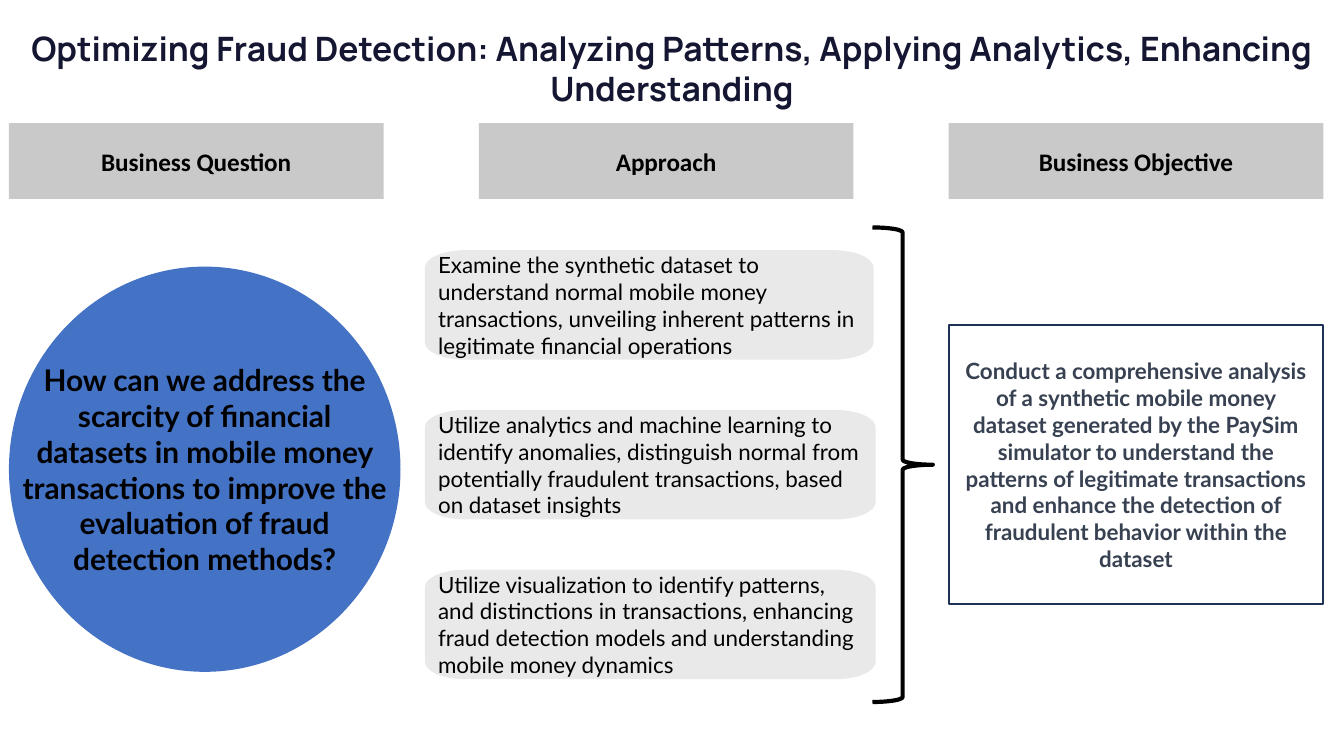
from typing import NamedTuple, Optional

from lxml.etree import SubElement
from pptx import Presentation
from pptx.dml.color import RGBColor
from pptx.enum.shapes import MSO_SHAPE as Preset
from pptx.enum.text import MSO_ANCHOR as Anchor, PP_ALIGN as Align
from pptx.oxml.ns import qn
from pptx.shapes.autoshape import Shape
from pptx.slide import Slide
from pptx.util import Cm, Pt

BLACK = RGBColor(0x00, 0x00, 0x00)
BLUE = RGBColor(0x44, 0x72, 0xC4)
HEADER_GREY = RGBColor(0xC9, 0xC9, 0xC9)
CARD_GREY = RGBColor(0xE9, 0xE9, 0xE9)
NAVY = RGBColor(0x1E, 0x32, 0x56)
SLATE = RGBColor(0x37, 0x41, 0x51)
TITLE_INK = RGBColor(0x15, 0x16, 0x31)

ARC_PULL = 0.55  # how far Bezier handles reach towards the corner


class Area(NamedTuple):
    """Position and size in centimetres."""
    left: float
    top: float
    width: float
    height: float


class Style(NamedTuple):
    font: str
    size: float
    color: RGBColor = BLACK
    bold: bool = True
    align: Align = Align.CENTER


class Point(NamedTuple):
    x: float
    y: float

    def toward(self, other: "Point") -> "Point":
        return Point(self.x + ARC_PULL * (other.x - self.x),
                     self.y + ARC_PULL * (other.y - self.y))


TITLE = Style("Manrope", 18, TITLE_INK)
HEADER = Style("Calibri", 13.5)
QUESTION = Style("Lato", 16)
OBJECTIVE = Style("Lato", 12, SLATE)
CARD = Style("Lato", 12, bold=False, align=Align.LEFT)

COLUMN_LEFT, COLUMN_STEP, COLUMN_WIDTH = 0.17, 8.88, 7.08
CARD_TOP, CARD_STEP = 4.73, 3.02

HEADERS = ["Business Question", "Approach", "Business Objective"]
CARDS = [
    (8.48, "Examine the synthetic dataset to understand normal mobile money transactions, "
           "unveiling inherent patterns in legitimate financial operations"),
    (8.52, "Utilize analytics and machine learning to identify anomalies, distinguish normal "
           "from potentially fraudulent transactions, based on dataset insights"),
    (8.52, "Utilize visualization to identify patterns, and distinctions in transactions, "
           "enhancing fraud detection models and understanding mobile money dynamics"),
]


def write(shape: Shape, text: str, style: Style, anchor: Anchor = Anchor.MIDDLE,
          inset: float = 0.25) -> None:
    frame = shape.text_frame
    frame.word_wrap = True
    frame.vertical_anchor = anchor
    frame.margin_left = frame.margin_right = Cm(0.25)
    frame.margin_top = frame.margin_bottom = Cm(inset)
    para = frame.paragraphs[0]
    para.alignment = style.align
    span = para.add_run()
    span.text = text
    span.font.name = style.font
    span.font.size = Pt(style.size)
    span.font.bold = style.bold
    span.font.color.rgb = style.color


def paint(shape: Shape, fill: Optional[RGBColor] = None,
          line: Optional[RGBColor] = None, weight: float = 1) -> None:
    shape.shadow.inherit = False
    if fill is None:
        shape.fill.background()
    else:
        shape.fill.solid()
        shape.fill.fore_color.rgb = fill
    if line is None:
        shape.line.fill.background()
    else:
        shape.line.color.rgb = line
        shape.line.width = Pt(weight)


def add_preset(page: Slide, preset: Preset, area: Area) -> Shape:
    return page.shapes.add_shape(preset, *(Cm(length) for length in area))


def add_rounded(page: Slide, area: Area, radius_x: float, radius_y: float,
                fill: RGBColor) -> Shape:
    """Outline with elliptical corners; half-size radii give an ellipse."""
    left, top, width, height = area
    inner_x, inner_y = width - radius_x, height - radius_y
    arcs = [  # start, corner, end, relative to the area
        (Point(radius_x, 0), Point(0, 0), Point(0, radius_y)),
        (Point(0, inner_y), Point(0, height), Point(radius_x, height)),
        (Point(inner_x, height), Point(width, height), Point(width, inner_y)),
        (Point(width, radius_y), Point(width, 0), Point(inner_x, 0)),
    ]
    ends = [(Cm(left + point.x), Cm(top + point.y))
            for start, _, end in arcs for point in (start, end)]
    builder = page.shapes.build_freeform(*ends[0])
    builder.add_line_segments(ends[1:], close=True)
    shape = builder.convert_to_shape()

    # Redraw the straight outline with one curve per corner.
    outline = next(shape.element.iter(qn("a:path")))
    for command in list(outline):
        outline.remove(command)

    def draw(command: str, *points: Point) -> None:
        node = SubElement(outline, qn(command))
        for point in points:
            SubElement(node, qn("a:pt"), x=str(Cm(point.x)), y=str(Cm(point.y)))

    here = arcs[0][0]
    draw("a:moveTo", here)
    for start, corner, end in arcs:
        if Cm(start.x) != Cm(here.x) or Cm(start.y) != Cm(here.y):
            draw("a:lnTo", start)
        draw("a:cubicBezTo", start.toward(corner), end.toward(corner), end)
        here = end
    draw("a:close")
    paint(shape, fill)
    return shape


def main() -> None:
    deck = Presentation()
    deck.slide_width, deck.slide_height = Cm(25.4), Cm(14.29)
    page = deck.slides.add_slide(deck.slide_layouts[6])

    for row, (width, text) in enumerate(CARDS):
        area = Area(8.03, CARD_TOP + row * CARD_STEP, width, 2.07)
        write(add_rounded(page, area, 0.76, 0.33, CARD_GREY), text, CARD)

    circle = Area(COLUMN_LEFT, 5.04, 7.4, 7.66)
    question = add_rounded(page, circle, circle.width / 2, circle.height / 2, BLUE)
    write(question, "How can we address the scarcity of financial datasets in mobile money "
          "transactions to improve the evaluation of fraud detection methods?", QUESTION)

    brace = add_preset(page, Preset.RIGHT_BRACE, Area(16.49, 4.3, 1.14, 8.97))
    paint(brace, line=BLACK, weight=2.25)

    objective = add_preset(page, Preset.RECTANGLE,
                           Area(COLUMN_LEFT + 2 * COLUMN_STEP, 6.15, COLUMN_WIDTH, 5.27))
    paint(objective, line=NAVY)
    write(objective, "Conduct a comprehensive analysis of a synthetic mobile money dataset "
          "generated by the PaySim simulator to understand the patterns of legitimate "
          "transactions and enhance the detection of fraudulent behavior within the dataset",
          OBJECTIVE, inset=0.13)

    for column, text in enumerate(HEADERS):
        left = COLUMN_LEFT + column * COLUMN_STEP
        header = add_preset(page, Preset.RECTANGLE, Area(left, 2.33, COLUMN_WIDTH, 1.43))
        paint(header, HEADER_GREY)
        write(header, text, HEADER, inset=0.13)

    title = page.shapes.add_textbox(Cm(0), Cm(0.28), Cm(25.4), Cm(1.45))
    write(title, "Optimizing Fraud Detection: Analyzing Patterns, Applying Analytics, "
          "Enhancing Understanding", TITLE, Anchor.TOP)

    deck.save("out.pptx")


if __name__ == "__main__":
    main()
